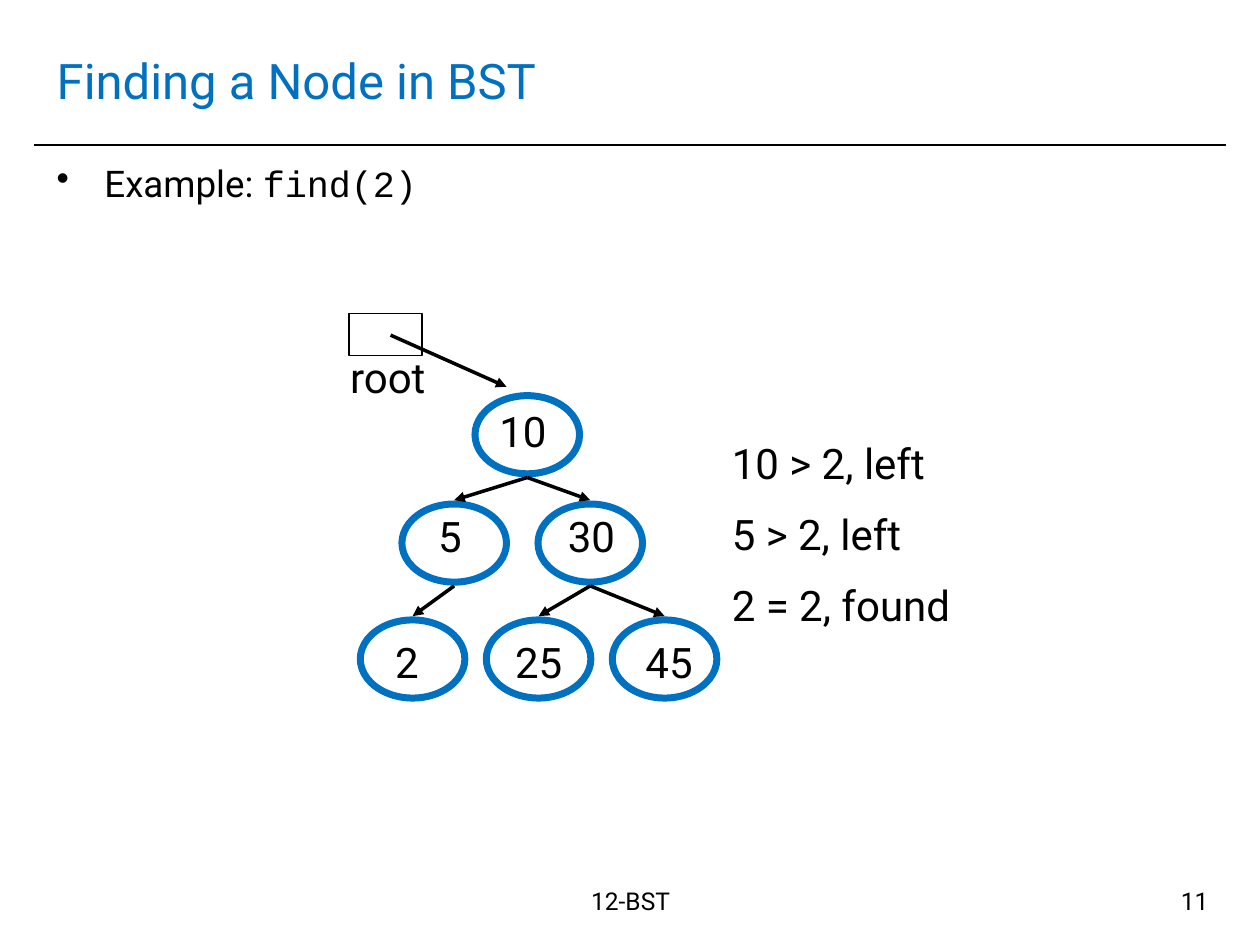
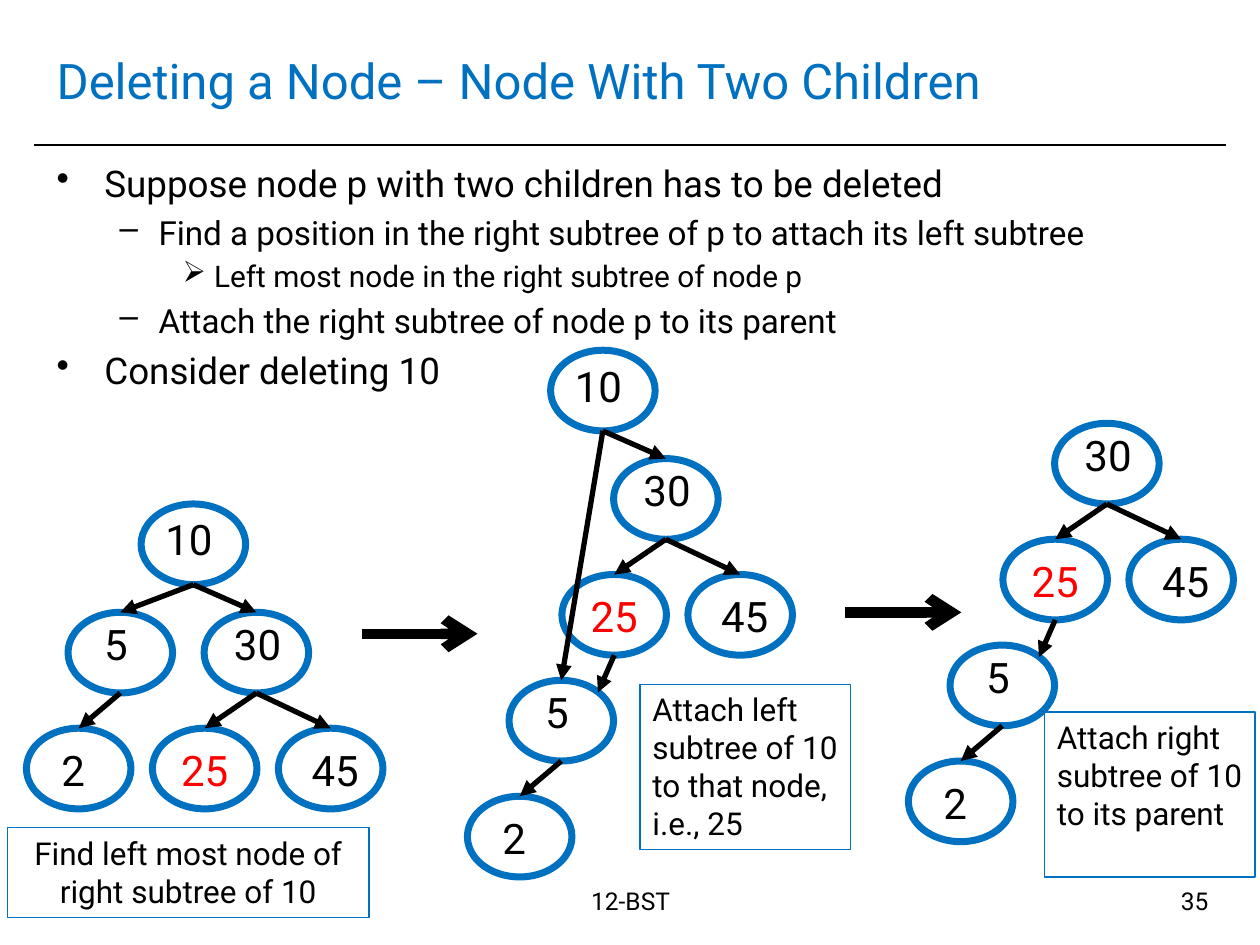
from dataclasses import dataclass

from lxml.etree import SubElement
from pptx import Presentation
from pptx.dml.color import RGBColor
from pptx.enum.shapes import MSO_CONNECTOR, MSO_SHAPE
from pptx.enum.text import MSO_ANCHOR, MSO_AUTO_SIZE, PP_ALIGN
from pptx.oxml.ns import qn
from pptx.util import Emu, Pt

PX = 9144  # 100 px to the inch
WIDTH, HEIGHT = 1000, 750
TITLE_ONLY = 5


@dataclass(frozen=True)
class Theme:
    font: str = "Roboto"
    code_font: str = "Courier New"
    ink: str = "000000"
    accent: str = "0070C0"
    mark: str = "FF0000"
    title: int = 28
    node: int = 24
    note: int = 18
    footer: int = 14
    body: tuple = (21, 19, 17)  # by outline level


# Outline levels: bullet, left margin, hanging indent
BULLETS = (("•", 38, -38), ("–", 81, -31), ("➢", 125, -25))

# Node labels: left and top offset inside the node, width
LABELS = {10: (9, 3, 58), 5: (17, 0, 42), 30: (9, 0, 67),
          2: (16, 8, 42), 25: (8, 8, 67), 45: (16, 8, 58)}
NODE_W = 83

# Where an edge meets its child, as fractions of the node's size
TOP, TOP_RIGHT = (0.5, 0), (0.85, 0.15)

# Trees: node places relative to the root, and edges
SEARCH_NODES = {10: (0, 0), 5: (-58, 86), 30: (50, 86),
                2: (-91, 178), 25: (9, 178), 45: (109, 178)}
SEARCH_EDGES = {(5, 2): TOP, (30, 25): TOP, (10, 30): TOP,
                (10, 5): TOP, (30, 45): TOP}
ATTACHED_NODES = {10: (0, 0), 5: (-33, 262), 30: (50, 86),
                  2: (-66, 354), 25: (9, 178), 45: (109, 178)}
ATTACHED_EDGES = {**SEARCH_EDGES, (25, 5): TOP_RIGHT}


def without(key, nodes, edges):
    """Return the tree with one node and all its edges taken out."""
    return ({n: at for n, at in nodes.items() if n != key},
            {e: end for e, end in edges.items() if key not in e})


def px(*lengths):
    return [Emu(round(n * PX)) for n in lengths]


def apply(target, values):
    for name, value in values.items():
        setattr(target, name, value)


class Deck:
    """Holds the theme, the current slide and the shapes being added to."""

    def __init__(self, theme):
        self.theme = theme
        self.prs = Presentation()
        self.prs.slide_width, self.prs.slide_height = px(WIDTH, HEIGHT)

    def slide(self, title, number):
        self.s = self.prs.slides.add_slide(self.prs.slide_layouts[TITLE_ONLY])
        self.shapes = self.s.shapes
        t = self.theme
        sp = self.s.shapes.title
        apply(sp, dict(zip(("left", "top", "width", "height"),
                           px(35, 21, 929, 85))))
        self.fill_text(sp.text_frame, [title], t.title, color=t.accent,
                       anchor=MSO_ANCHOR.MIDDLE)
        self.line((27, 115), (973, 115), 1)
        self.text((335, 698, 331, 52), ["12-BST"], t.footer, PP_ALIGN.CENTER)
        self.text((736, 698, 233, 52), [number], t.footer, PP_ALIGN.RIGHT)

    def group(self):
        """Send the next elements into a new group on this slide."""
        self.shapes = self.s.shapes.add_group_shape().shapes

    def run(self, p, text, size, color=None, font=None):
        r = p.add_run()
        r.text = text
        apply(r.font, {"size": Pt(size), "name": font or self.theme.font})
        r.font.color.rgb = RGBColor.from_string(color or self.theme.ink)

    def fill_text(self, tf, lines, size, align=PP_ALIGN.LEFT, color=None,
                  anchor=MSO_ANCHOR.TOP, gap=0, wrap=True, grow=False):
        fit = MSO_AUTO_SIZE.SHAPE_TO_FIT_TEXT if grow else MSO_AUTO_SIZE.NONE
        apply(tf, {"word_wrap": wrap, "vertical_anchor": anchor,
                   "auto_size": fit})
        for i, line in enumerate(lines):
            p = tf.add_paragraph() if i else tf.paragraphs[0]
            apply(p, {"alignment": align, "space_before": Pt(gap if i else 0)})
            self.run(p, line, size, color)

    def text(self, box, lines, size, align=PP_ALIGN.LEFT, **style):
        sp = self.shapes.add_textbox(*px(*box))
        self.fill_text(sp.text_frame, lines, size, align, **style)

    def outline(self, items):
        """Add the bulleted body; items are (level, text[, code])."""
        tf = self.shapes.add_textbox(*px(35, 123, 929, 559)).text_frame
        tf.word_wrap = True
        for i, (level, text, *code) in enumerate(items):
            p = tf.add_paragraph() if i else tf.paragraphs[0]
            size = self.theme.body[level]
            apply(p, {"level": level, "alignment": PP_ALIGN.LEFT,
                      "space_before": Pt(round(size * 0.2, 1) if i else 0)})
            char, margin, indent = BULLETS[level]
            pPr = p._p.get_or_add_pPr()
            for name, value in zip(("marL", "indent"), px(margin, indent)):
                pPr.set(name, str(value))
            clr = SubElement(pPr, qn("a:buClr"))
            SubElement(clr, qn("a:srgbClr"), val=self.theme.ink)
            SubElement(pPr, qn("a:buChar"), char=char)
            self.run(p, text, size)
            for part in code:
                self.run(p, part, size, font=self.theme.code_font)

    def shape(self, kind, box, color, weight):
        sp = self.shapes.add_shape(kind, *px(*box))
        sp.shadow.inherit = False
        sp.fill.background()
        sp.line.color.rgb = RGBColor.from_string(color)
        sp.line.width = Pt(weight)
        return sp

    def note(self, box, text, align=PP_ALIGN.LEFT):
        sp = self.shape(MSO_SHAPE.RECTANGLE, box, self.theme.accent, 0.75)
        self.fill_text(sp.text_frame, [text], self.theme.note, align,
                       grow=True)

    def line(self, start, end, weight, head=None):
        c = self.shapes.add_connector(MSO_CONNECTOR.STRAIGHT,
                                      *px(*start, *end))
        c.line.color.rgb = RGBColor.from_string(self.theme.ink)
        c.line.width = Pt(weight)
        spPr = c._element.spPr
        if head:
            SubElement(spPr.find(qn("a:ln")), qn("a:tailEnd"), type=head)
        SubElement(spPr, qn("a:effectLst"))

    def tree(self, origin, nodes, edges, node_h=64, gap=0, weight=3,
             marked=()):
        """Draw nodes, edges and labels; gap parts edge ends from nodes."""
        t = self.theme
        places = {key: (origin[0] + x, origin[1] + y)
                  for key, (x, y) in nodes.items()}
        for x, y in places.values():
            self.shape(MSO_SHAPE.OVAL, (x, y, NODE_W, node_h), t.accent, 4)
        for (parent, child), (fx, fy) in edges.items():
            (x1, y1), (x2, y2) = places[parent], places[child]
            self.line((x1 + NODE_W / 2, y1 + node_h + gap),
                      (x2 + NODE_W * fx, y2 + node_h * fy - gap),
                      weight, "triangle")
        for key, (x, y) in places.items():
            dx, dy, w = LABELS[key]
            self.text((x + dx, y + dy, w, 50), [str(key)], t.node,
                      PP_ALIGN.CENTER, grow=True,
                      color=t.mark if key in marked else t.ink)


def find_slide(deck):
    t = deck.theme
    deck.slide("Finding a Node in BST", "11")
    deck.outline([(0, "Example: ", "find(2)")])
    deck.tree((377, 314), SEARCH_NODES, SEARCH_EDGES, node_h=62, gap=3,
              weight=2)
    deck.text((571, 342, 250, 172),
              ["10 > 2, left", "5 > 2, left", "2 = 2, found"], t.node,
              gap=12, grow=True)
    deck.text((268, 274, 80, 50), ["root"], t.node, wrap=False, grow=True)
    deck.line((310, 266), (402, 307), 2, "triangle")
    deck.shape(MSO_SHAPE.RECTANGLE, (277, 249, 58, 33), t.ink, 0.75)


def delete_slide(deck):
    deck.slide("Deleting a Node – Node With Two Children", "35")
    deck.outline([
        (0, "Suppose node p with two children has to be deleted"),
        (1, "Find a position in the right subtree of p to attach its left "
            "subtree"),
        (2, "Left most node in the right subtree of node p"),
        (1, "Attach the right subtree of node p to its parent"),
        (0, "Consider deleting 10"),
    ])
    deck.note((6, 657, 287, 71), "Find left most node of right subtree of 10",
              PP_ALIGN.CENTER)
    deck.note((508, 543, 167, 131),
              "Attach left subtree of 10 to that node, i.e., 25")
    attached = ATTACHED_NODES, ATTACHED_EDGES
    stages = (((112, 400), (SEARCH_NODES, SEARCH_EDGES), None),
              ((437, 278), attached, (287, 503)),
              ((787, 250), without(10, *attached), (671, 486)))
    for origin, tree, arrow in stages:
        deck.group()
        if arrow:
            x, y = arrow
            deck.line(arrow, (x + 92, y), 6, "arrow")
        deck.tree(origin, *tree, marked=(25,))
    deck.note((829, 565, 167, 131), "Attach right subtree of 10 to its parent")


def main():
    deck = Deck(Theme())
    find_slide(deck)
    delete_slide(deck)
    deck.prs.save("out.pptx")


if __name__ == "__main__":
    main()
